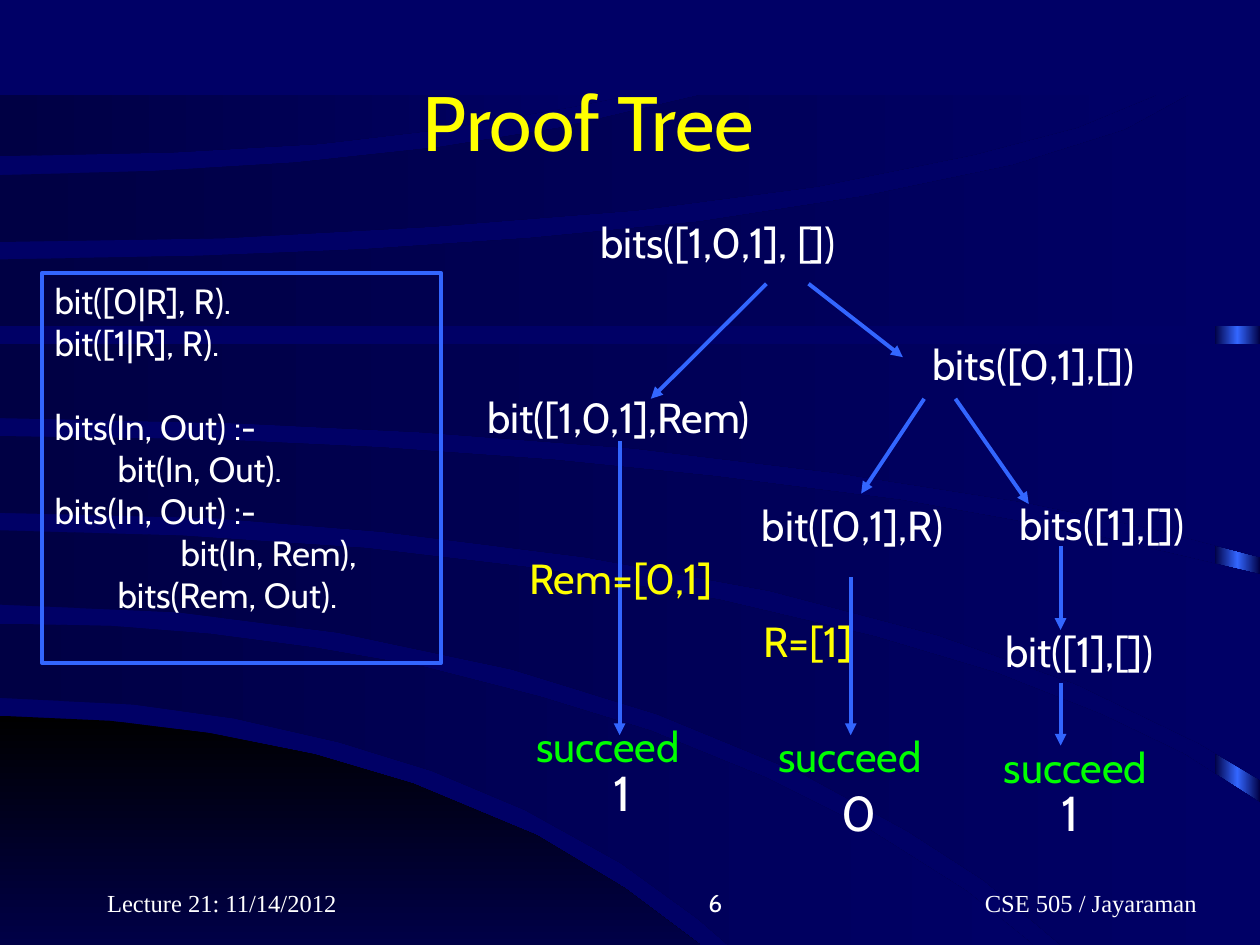
from copy import deepcopy
from dataclasses import dataclass

from lxml import etree
from pptx import Presentation
from pptx.dml.color import RGBColor
from pptx.enum.shapes import MSO_CONNECTOR, MSO_SHAPE
from pptx.enum.text import MSO_ANCHOR, PP_ALIGN
from pptx.oxml.ns import qn
from pptx.util import Cm, Pt

STRAIGHT = MSO_CONNECTOR.STRAIGHT
RECTANGLE = MSO_SHAPE.RECTANGLE
TOP, MIDDLE, BOTTOM = MSO_ANCHOR.TOP, MSO_ANCHOR.MIDDLE, MSO_ANCHOR.BOTTOM
LEFT, CENTER, RIGHT = PP_ALIGN.LEFT, PP_ALIGN.CENTER, PP_ALIGN.RIGHT

WIDTH, HEIGHT = 25.4, 19.05
NAVY, DARK, BLUE = "000066", "000044", "3366FF"
WHITE, YELLOW, GREEN = "FFFFFF", "FFFF00", "00FF00"
SANS, SERIF = "Cabin", "Times New Roman"
Points = list[tuple[float, float]]


@dataclass
class Label:
    text: str
    left: float
    top: float
    width: float
    height: float = 1.27
    size: int = 24
    color: str = WHITE
    font: str = SANS
    align: PP_ALIGN = LEFT
    anchor: MSO_ANCHOR = TOP


@dataclass
class Arrow:
    start: tuple[float, float]
    end: tuple[float, float]


@dataclass
class Band:
    upper: Points
    lower: Points
    colors: tuple[str, str] = (DARK, NAVY)
    angle: int = 0


# Backdrop bands, each between an upper and a lower edge, in centimetres
BANDS = [
    Band([(0, 14.43), (2.21, 14.53), (4.22, 14.78), (6.35, 15.21), (8.33, 15.8),
          (10.82, 16.84), (12.6, 17.91), (14.12, HEIGHT)],
         [(0, HEIGHT)], ("000000", "000047"), 270),
    Band([(0, 12.57), (2.24, 12.62), (4.24, 12.78), (6.35, 13.06), (8.53, 13.44),
          (10.9, 14.05), (13.11, 14.73), (15.42, 15.67), (17.5, 16.71),
          (19.48, 17.96), (20.83, HEIGHT)],
         [(0, 14.07), (2.69, 14.2), (4.72, 14.48), (6.83, 14.96), (8.71, 15.54),
          (10.59, 16.33), (12.52, 17.4), (14.07, 18.52), (14.68, HEIGHT)]),
    Band([(0, 10.69), (3.68, 10.8), (7.37, 11.05), (10.85, 11.46), (14.5, 12.09),
          (17.63, 12.83), (20.07, 13.56), (22.2, 14.4), (23.85, 15.19), (WIDTH, 16.18)],
         [(0, 12.19), (3.58, 12.34), (6.81, 12.75), (10.31, 13.49), (13.26, 14.4),
          (16.18, 15.6), (18.31, 16.76), (19.84, 17.75), (21.39, HEIGHT), (WIDTH, HEIGHT)]),
    Band([(0, 8.79), (4.29, 8.86), (7.67, 9.02), (11.15, 9.27), (14.4, 9.6),
          (18.16, 10.08), (21.84, 10.74), (WIDTH, 11.58)],
         [(0, 10.34), (4.27, 10.44), (7.72, 10.72), (11.79, 11.23), (15.52, 11.91),
          (18.9, 12.8), (21.69, 13.79), (24.18, 14.99), (WIDTH, 15.72)]),
    Band([(0, 6.93), (WIDTH, 6.93)],
         [(0, 8.43), (4.75, 8.53), (8.46, 8.71), (12.78, 9.04), (16.84, 9.53),
          (20.68, 10.13), (23.27, 10.67), (WIDTH, 11.23)]),
    Band([(0, 5.23), (4.01, 5.16), (7.29, 5.03), (10.69, 4.8), (14.1, 4.47),
          (17.4, 3.96), (20.42, 3.33), (22.68, 2.62), (23.98, 1.91), (WIDTH, 1.91)],
         [(0, 6.58), (WIDTH, 6.58)]),
    Band([(0, 3.53), (3.1, 3.45), (5.94, 3.28), (8.84, 2.97), (11.33, 2.57),
          (14.15, 1.91), (23.32, 1.91)],
         [(0, 4.88), (4.52, 4.8), (8.69, 4.57), (12.83, 4.24), (16.48, 3.76),
          (19.63, 3.12), (21.72, 2.57)]),
    Band([(0, 1.91), (12.75, 1.91)],
         [(0, 3.15), (3.51, 3.07), (6.45, 2.9), (8.81, 2.62), (11.51, 2.16)]),
]

ARROWS = [
    Arrow((15.45, 5.72), (13.12, 8.04)),
    Arrow((16.3, 5.72), (18.2, 7.2)),
    Arrow((12.49, 8.89), (12.49, 14.82)),
    Arrow((18.63, 8.04), (17.36, 9.95)),
    Arrow((19.26, 8.04), (20.74, 10.16)),
    Arrow((17.15, 11.64), (17.15, 14.82)),
    Arrow((21.38, 11.01), (21.38, 12.7)),
    Arrow((21.38, 13.76), (21.38, 15.03)),
]

LABELS = [
    # Goals
    Label("bits([1,0,1], [])", 11.85, 4.23, 7.62),
    Label("bit([1,0,1],Rem)", 9.57, 7.77, 6.75),
    Label("bits([0,1],[])", 18.55, 6.7, 5),
    Label("bit([0,1],R)", 15.11, 9.95, 4.57),
    Label("bits([1],[])", 20.3, 9.93, 4.3),
    Label("bit([1],[])", 20.02, 12.49, 3.88),
    # Bindings
    Label("Rem=[0,1]", 10.42, 11.01, 4.55, color=YELLOW),
    Label("R=[1]", 15.14, 12.28, 2.57, color=YELLOW),
    # Results
    Label("succeed", 10.56, 14.4, 3.7, color=GREEN),
    Label("succeed", 15.44, 14.61, 3.7, color=GREEN),
    Label("succeed", 19.99, 14.82, 3.7, color=GREEN),
    Label("1", 12.11, 15.24, 1.07, 1.45, 28),
    Label("0", 16.72, 15.66, 1.07, 1.45, 28),
    Label("1", 21.15, 15.66, 1.07, 1.45, 28),
    # Footer
    Label("Lecture 21: 11/14/2012", 1.91, 17.35, 5.28, size=14, font=SERIF, anchor=BOTTOM),
    Label("6", 9.53, 17.35, 5.28, size=14, align=RIGHT, anchor=BOTTOM),
    Label("CSE 505 / Jayaraman", 16.71, 17.35, 7.67, size=14, font=SERIF,
          align=RIGHT, anchor=BOTTOM),
]

# Program clauses: text, paragraph format
CLAUSES = [
    ("bit([0|R], R).", {}),
    ("bit([1|R], R).", {}),
    ("bits(In, Out) :-", {"space_before": Pt(24)}),
    ("\tbit(In, Out).", {}),
    ("bits(In, Out) :-", {}),
    ("\tbit(In, Rem), \tbits(Rem, Out).", {"level": 1}),
]


def rgb(color: str) -> RGBColor:
    return RGBColor.from_string(color)


def apply(target, values: dict) -> None:
    for name, value in values.items():
        setattr(target, name, value)


def write(para, text: str, size: int, color: str, font: str = SANS) -> None:
    span = para.add_run()
    span.text = text
    apply(span.font, {"size": Pt(size), "name": font, "bold": False})
    span.font.color.rgb = rgb(color)


def paint_gradient(shape, colors: tuple[str, ...], angle: int = 0) -> None:
    shape.shadow.inherit = False
    shape.line.fill.background()
    shape.fill.gradient()
    shape.fill.gradient_angle = angle
    stop_list = shape._element.spPr.find(".//" + qn("a:gsLst"))
    for _ in colors[2:]:
        stop_list.append(deepcopy(stop_list[-1]))
    for index, stop in enumerate(shape.fill.gradient_stops):
        stop.position = index / (len(colors) - 1)
        stop.color.rgb = rgb(colors[index])


def draw_band(page, band: Band) -> None:
    outline = band.upper + band.lower[::-1]
    emu = [(Cm(x), Cm(y)) for x, y in outline]
    builder = page.shapes.build_freeform(*emu[0], scale=1.0)
    builder.add_line_segments(emu[1:], close=True)
    paint_gradient(builder.convert_to_shape(), band.colors, band.angle)


def draw_arrow(page, arrow: Arrow) -> None:
    line = page.shapes.add_connector(
        STRAIGHT, *(Cm(value) for value in arrow.start + arrow.end))
    line.line.color.rgb = rgb(BLUE)
    line.line.width = Pt(2.25)
    etree.SubElement(line.line._get_or_add_ln(), qn("a:tailEnd"), type="triangle")
    etree.SubElement(line._element.spPr, qn("a:effectLst"))


def fill_label(box, label: Label) -> None:
    apply(box, {"left": Cm(label.left), "top": Cm(label.top),
                "width": Cm(label.width), "height": Cm(label.height)})
    apply(box.text_frame, {"word_wrap": True, "vertical_anchor": label.anchor})
    para = box.text_frame.paragraphs[0]
    para.alignment = label.align
    write(para, label.text, label.size, label.color, label.font)


def draw_program(page) -> None:
    box = page.shapes.add_shape(RECTANGLE, Cm(0.85), Cm(5.5), Cm(8.04), Cm(7.87))
    box.shadow.inherit = False
    box.fill.background()
    box.line.color.rgb = rgb(BLUE)
    box.line.width = Pt(2.25)
    frame = box.text_frame
    apply(frame, {"word_wrap": True, "vertical_anchor": TOP})
    for index, (text, values) in enumerate(CLAUSES):
        para = frame.add_paragraph() if index else frame.paragraphs[0]
        apply(para, {"alignment": LEFT, **values})
        write(para, text, 20, WHITE)
        properties = para._p.get_or_add_pPr()
        properties.set("marL", str(Cm(1.27 * para.level)))
        properties.set("indent", "0")
        tabs = etree.SubElement(properties, qn("a:tabLst"))
        for step in range(8):
            etree.SubElement(tabs, qn("a:tab"), pos=str(Cm(2.54 * step)), algn="l")


def main() -> None:
    deck = Presentation()
    apply(deck, {"slide_width": Cm(WIDTH), "slide_height": Cm(HEIGHT)})
    page = deck.slides.add_slide(deck.slide_layouts[5])
    page.background.fill.solid()
    page.background.fill.fore_color.rgb = rgb(NAVY)

    # Backdrop: glowing bar at the right edge, then the bands over it
    bar = page.shapes.add_shape(RECTANGLE, Cm(24.49), Cm(1.96), Cm(0.91), Cm(17.09))
    paint_gradient(bar, (DARK, BLUE, DARK))
    for band in BANDS:
        draw_band(page, band)

    # Title, raised above the backdrop
    title = page.shapes.title
    fill_label(title, Label("Proof Tree", 1.07, 0.84, 21.59, 3.18, 44, YELLOW,
                            align=CENTER, anchor=MIDDLE))
    page.shapes._spTree.append(title._element)

    # Proof tree and program
    for arrow in ARROWS:
        draw_arrow(page, arrow)
    draw_program(page)
    for label in LABELS:
        fill_label(page.shapes.add_textbox(0, 0, 0, 0), label)

    deck.save("out.pptx")


if __name__ == "__main__":
    main()
